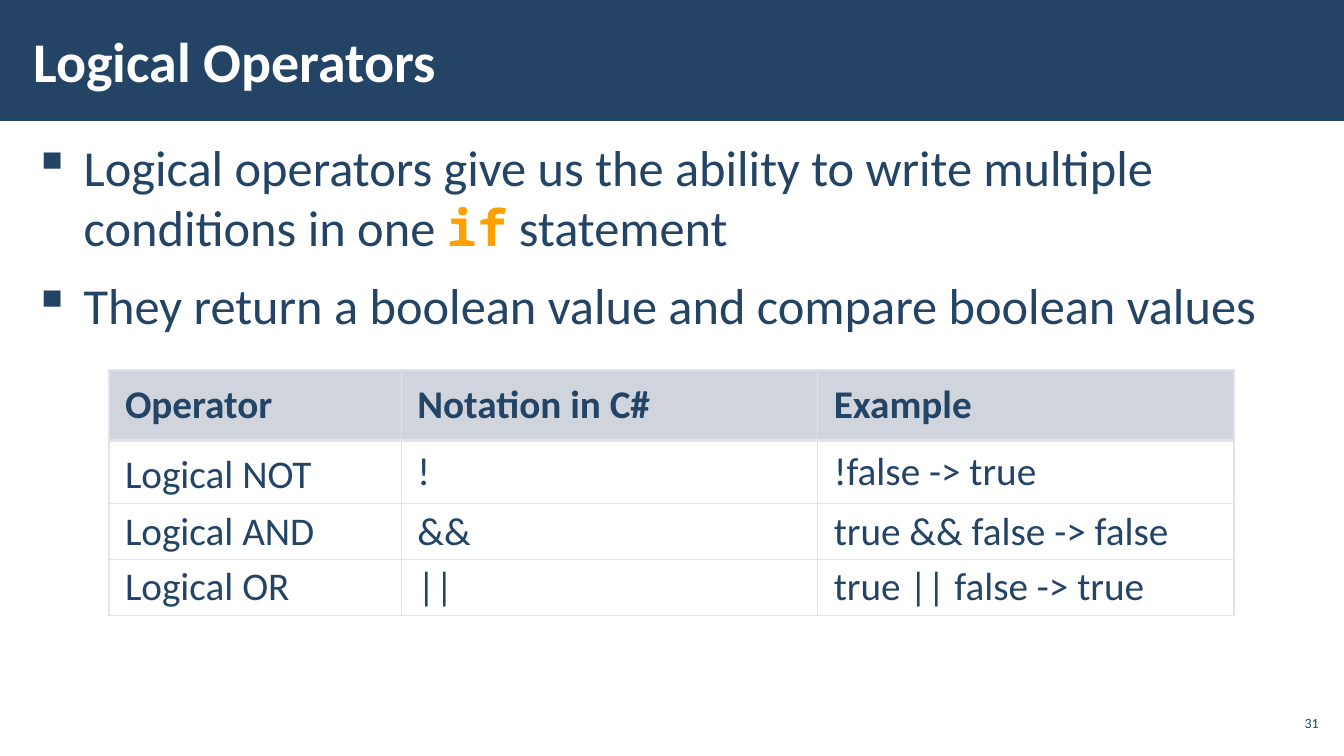
from lxml import etree
from pptx import Presentation
from pptx.dml.color import RGBColor
from pptx.enum import shapes, text
from pptx.oxml import ns
from pptx.util import Inches, Pt

NAVY = RGBColor(0x23, 0x44, 0x65)
WHITE = RGBColor(0xFF, 0xFF, 0xFF)
AMBER = RGBColor(0xFF, 0xA0, 0x00)
HEAD = RGBColor(0xA3, 0xAB, 0xBC)
RULE = RGBColor(0xE0, 0xE3, 0xE9)
FONT, MONO = "Calibri", "Noto Sans Mono"

TITLE = "Logical Operators"
NUMBER = "31"
BREAK = None
POINTS = [
    ["Logical operators give us the ability to write multiple ", BREAK,
     "conditions in one ", "if", " statement"],
    ["They return a boolean value and compare boolean values"],
]
ROWS = [
    ("Operator", "Notation in C#", "Example"),
    ("Logical NOT", "!", "!false -> true"),
    ("Logical AND", "&&", "true && false -> false"),
    ("Logical OR", "||", "true || false -> true"),
]
WIDTHS = (2.9, 4.13, 4.13)
HEIGHTS = (0.7, 0.43, 0.4, 0.54)


def box(*place):
    """Turn left, top, width and height in inches into lengths."""
    return [Inches(n) for n in place]


def style(run, size, color=NAVY, bold=False, name=FONT):
    """Set the look of one run."""
    font = run.font
    font.size, font.bold, font.name = Pt(size), bold, name
    font.color.rgb = color


def inset(frame, side, edge, anchor):
    """Set the wrap, margins and anchor of a text frame."""
    frame.word_wrap = True
    frame.auto_size = text.MSO_AUTO_SIZE.NONE
    frame.margin_left = frame.margin_right = Inches(side)
    frame.margin_top = frame.margin_bottom = Inches(edge)
    frame.vertical_anchor = anchor


def bullet(para):
    """Give a paragraph a square bullet with a hanging indent."""
    props = para._p.get_or_add_pPr()
    props.set("marL", str(Inches(0.5)))
    props.set("indent", str(-Inches(0.5)))
    etree.SubElement(props, ns.qn("a:buChar"), char="▪")


def border(cell, side, width):
    """Draw one side of a cell."""
    props = cell._tc.get_or_add_tcPr()
    line = etree.SubElement(props, ns.qn("a:ln" + side), w=str(Pt(width)))
    fill = etree.SubElement(line, ns.qn("a:solidFill"))
    etree.SubElement(fill, ns.qn("a:srgbClr"), val=str(RULE))


def add_title(slide):
    """Draw the band and fill the title."""
    band = slide.shapes.add_shape(shapes.MSO_SHAPE.RECTANGLE, *box(0, 0, 13.33, 1.2))
    band.shadow.inherit = False
    band.fill.solid()
    band.fill.fore_color.rgb = NAVY
    band.line.fill.background()
    title = slide.shapes.title
    band._element.addnext(title._element)
    title.left, title.top, title.width, title.height = box(0.21, 0.11, 10.39, 0.97)
    frame = title.text_frame
    frame.text = TITLE
    inset(frame, 0.12, 0.04, text.MSO_ANCHOR.MIDDLE)
    para = frame.paragraphs[0]
    para.alignment = text.PP_ALIGN.LEFT
    style(para.runs[0], 40, WHITE, True)


def add_points(slide):
    """Write the bulleted points."""
    frame = slide.shapes.add_textbox(*box(0.21, 1.31, 12.92, 5.69)).text_frame
    inset(frame, 0.12, 0.04, text.MSO_ANCHOR.TOP)
    for i, parts in enumerate(POINTS):
        para = frame.add_paragraph() if i else frame.paragraphs[0]
        para.space_before = para.space_after = Pt(6)
        bullet(para)
        for part in parts:
            if part is BREAK:
                para.add_line_break()
                continue
            run = para.add_run()
            run.text = part
            if part == "if":
                style(run, 36, AMBER, True, MONO)
            else:
                style(run, 36)


def add_grid(slide):
    """Build the table of operators."""
    place = box(1.08, 3.67, sum(WIDTHS), sum(HEIGHTS))
    grid = slide.shapes.add_table(len(ROWS), len(WIDTHS), *place).table
    grid.first_row = grid.horz_banding = False
    for col, width in zip(grid.columns, WIDTHS):
        col.width = Inches(width)
    for r, (row, height) in enumerate(zip(ROWS, HEIGHTS)):
        grid.rows[r].height = Inches(height)
        for c, word in enumerate(row):
            cell = grid.cell(r, c)
            cell.margin_left = cell.margin_right = Inches(0.16)
            cell.margin_top = cell.margin_bottom = Inches(0.05)
            cell.vertical_anchor = text.MSO_ANCHOR.MIDDLE
            thick = {"L": c == 0, "R": c == len(row) - 1, "T": r < 2, "B": r == 0}
            for side, heavy in thick.items():
                border(cell, side, 2.25 if heavy else 1)
            if r == 0:
                cell.fill.solid()
                cell.fill.fore_color.rgb = HEAD
                tint = cell._tc.tcPr.find(ns.qn("a:solidFill"))[0]
                etree.SubElement(tint, ns.qn("a:alpha"), val="50000")
            else:
                cell.fill.background()
            cell.text_frame.text = word
            para = cell.text_frame.paragraphs[0]
            para.line_spacing = Pt(38) if (r, c) == (1, 0) else 0.95
            style(para.runs[0], 28, bold=r == 0)


def add_number(slide):
    """Write the slide number."""
    frame = slide.shapes.add_textbox(*box(12.65, 7, 0.47, 0.34)).text_frame
    inset(frame, 0.04, 0.04, text.MSO_ANCHOR.MIDDLE)
    frame.text = NUMBER
    para = frame.paragraphs[0]
    para.alignment = text.PP_ALIGN.RIGHT
    style(para.runs[0], 10)


def main():
    """Build and save the slide."""
    deck = Presentation()
    deck.slide_width, deck.slide_height = box(13.33, 7.5)
    slide = deck.slides.add_slide(deck.slide_layouts[5])
    add_title(slide)
    add_points(slide)
    add_grid(slide)
    add_number(slide)
    deck.save("out.pptx")


if __name__ == "__main__":
    main()
